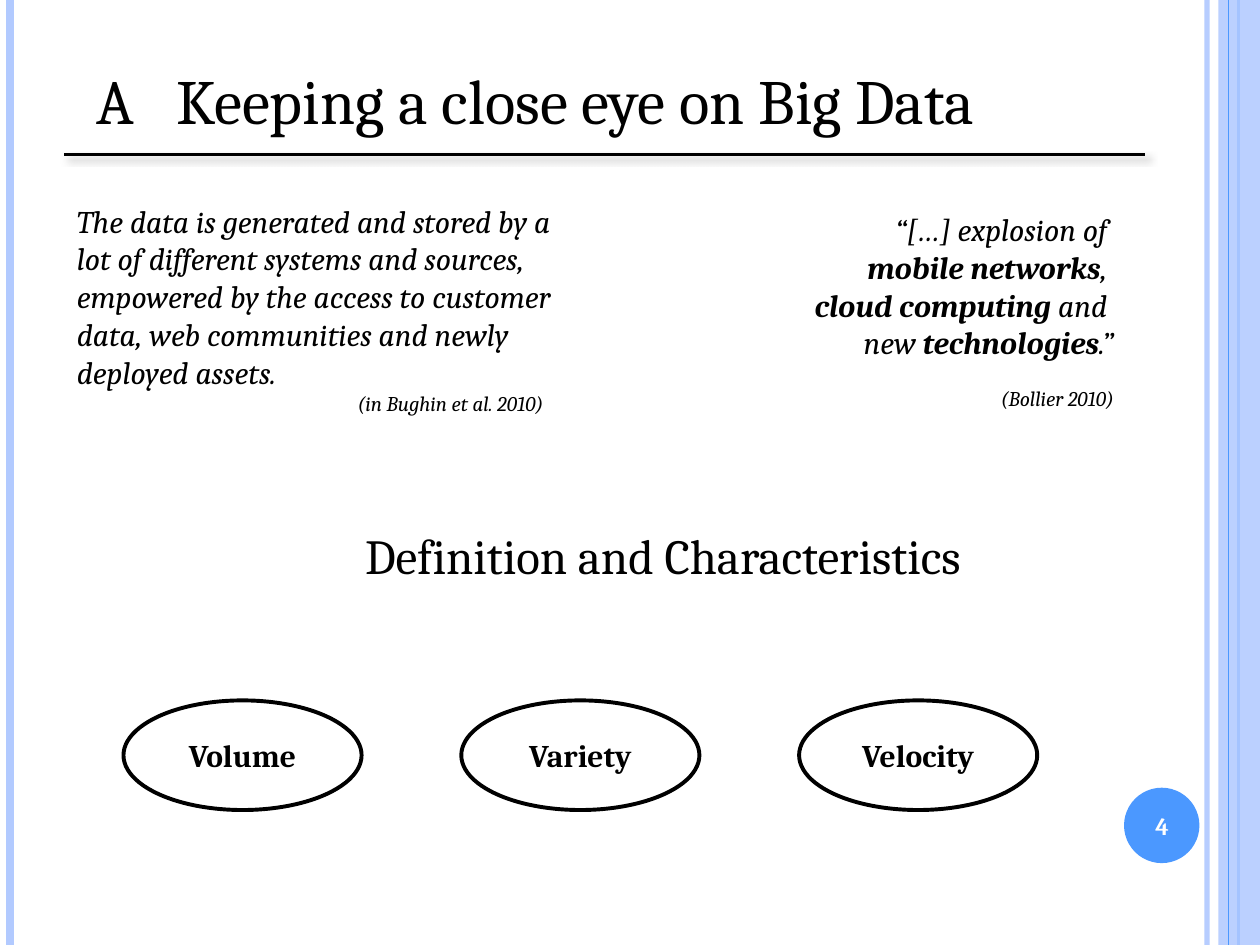
from lxml.etree import SubElement
from pptx import Presentation
from pptx.dml.color import RGBColor
from pptx.enum.shapes import MSO_CONNECTOR, MSO_SHAPE
from pptx.enum.text import MSO_ANCHOR, PP_ALIGN
from pptx.oxml.ns import qn
from pptx.util import Cm, Pt

COLORS = {"ink": "000000", "paper": "FFFFFF", "pale": "B2CAFF", "blue": "4B98FF"}
FONT = "Cambria"
WIDTH, HEIGHT = 25.4, 19.05


def color(name):
    return RGBColor.from_string(COLORS[name])


def set_alpha(fill_parent, percent):
    srgb = next(fill_parent.iter(qn("a:srgbClr")))
    SubElement(srgb, qn("a:alpha"), val=str(percent * 1000))


def add_line(slide, start, end, line_color, weight):
    """Draw a straight line without shadow; return it and its effect list."""
    line = slide.shapes.add_connector(
        MSO_CONNECTOR.STRAIGHT, *(Cm(value) for value in (*start, *end)))
    line.line.color.rgb = color(line_color)
    line.line.width = Pt(weight)
    return line, SubElement(line._element.spPr, qn("a:effectLst"))


def add_shape(slide, kind, box, fill, outline=None):
    shape = slide.shapes.add_shape(kind, *(Cm(value) for value in box))
    shape.shadow.inherit = False
    shape.fill.solid()
    shape.fill.fore_color.rgb = color(fill)
    if outline:
        shape.line.color.rgb = color(outline)
        shape.line.width = Pt(2.25)
    else:
        shape.line.fill.background()
    return shape


def add_text_box(slide, box):
    frame = slide.shapes.add_textbox(*(Cm(value) for value in box)).text_frame
    frame.word_wrap = True
    return frame


def write(paragraph, runs, size, font_color="ink", align=PP_ALIGN.LEFT, **styles):
    """Fill a paragraph with (text, bold) runs."""
    paragraph.alignment = align
    for text, bold in runs:
        run = paragraph.add_run()
        run.text = text
        formats = {"name": FONT, "size": Pt(size), "bold": bold, **styles}
        for attribute, value in formats.items():
            setattr(run.font, attribute, value)
        run.font.color.rgb = color(font_color)


def set_indent(paragraph, margin, first_line=0):
    properties = paragraph._p.get_or_add_pPr()
    properties.set("marL", str(Cm(margin)))
    properties.set("indent", str(Cm(first_line)))


def add_side_bands(slide):
    def vertical(x, line_color, weight):
        return add_line(slide, (x, 0), (x, HEIGHT), line_color, weight)[0]

    set_alpha(vertical(24.33, "pale", 3)._element.spPr, 93)
    vertical(0.2, "pale", 4.5)
    vertical(24.97, "blue", 1.5)
    band = add_shape(slide, MSO_SHAPE.RECTANGLE, (24.56, 0, WIDTH - 24.56, HEIGHT), "pale")
    set_alpha(band._element.spPr, 87)
    vertical(24.77, "blue", 0.75)


def add_title(slide, left, top, width, height):
    paragraph = add_text_box(slide, (left + 0.4, top, width, height)).paragraphs[0]
    write(paragraph, [("A\tKeeping a close eye on Big Data", False)], 36)
    set_indent(paragraph, 1.6, -1.6)
    rule_y = top + 2
    _, effects = add_line(slide, (left, rule_y), (left + 21.79, rule_y), "ink", 1.5)
    shadow = SubElement(effects, qn("a:outerShdw"), blurRad=str(Pt(4)),
                        dist=str(Pt(3)), dir=str(45 * 60000), algn="tl", rotWithShape="0")
    SubElement(shadow, qn("a:srgbClr"), val=COLORS["ink"])
    set_alpha(shadow, 40)


def add_quote(slide, box, lines, source, align, source_indent=0, source_gap=0):
    frame = add_text_box(slide, box)
    for index, runs in enumerate(lines):
        paragraph = frame.add_paragraph() if index else frame.paragraphs[0]
        write(paragraph, runs, 18, align=align, italic=True)
    citation = frame.add_paragraph()
    write(citation, [(source, False)], 12, align=align, italic=True)
    citation.space_before = Pt(source_gap)
    set_indent(citation, source_indent)


def add_subtitle(slide, box):
    write(add_text_box(slide, box).paragraphs[0],
          [("Definition and Characteristics", False)], 28)


def add_characteristics(slide, left, top, width, height, names):
    pitch = 6.81
    for index, name in enumerate(names):
        oval = add_shape(slide, MSO_SHAPE.OVAL,
                         (left + index * pitch, top, width, height), "paper", "ink")
        oval.text_frame.vertical_anchor = MSO_ANCHOR.MIDDLE
        write(oval.text_frame.paragraphs[0], [(name, True)], 18, align=PP_ALIGN.CENTER)


def add_page_number(slide, left, top, size, number):
    add_shape(slide, MSO_SHAPE.OVAL, (left, top, size, size), "blue")
    frame = add_text_box(slide, (left - 0.08, top + 0.05, 1.7, 1.45))
    frame.vertical_anchor = MSO_ANCHOR.MIDDLE
    write(frame.paragraphs[0], [(number, True)], 14, "paper", PP_ALIGN.CENTER)


def main():
    presentation = Presentation()
    presentation.slide_width, presentation.slide_height = Cm(WIDTH), Cm(HEIGHT)
    slide = presentation.slides.add_slide(presentation.slide_layouts[6])
    add_side_bands(slide)
    add_title(slide, 1.3, 1.12, 22.15, 1.8)
    add_subtitle(slide, (7.11, 10.46, 14.5, 1.45))
    add_quote(
        slide, (1.3, 3.94, 10.8, 4.62),
        [[("The data is generated and stored by a lot of different systems and sources, "
           "empowered by the access to customer data, web communities and newly "
           "deployed assets.", False)]],
        "(in Bughin et al. 2010)", PP_ALIGN.LEFT, source_indent=5.66)
    add_quote(
        slide, (13.11, 4.11, 9.6, 4.37),
        [[("“[…] explosion of ", False)],
         [("mobile networks", True), (", ", False)],
         [("cloud computing ", True), ("and ", False)],
         [("new ", False), ("technologies", True), (".”", False)]],
        "(Bollier 2010)", PP_ALIGN.RIGHT, source_gap=14)
    add_characteristics(slide, 2.49, 14.12, 4.8, 2.21, ["Volume", "Variety", "Velocity"])
    add_page_number(slide, 22.66, 15.88, 1.52, "4")
    presentation.save("out.pptx")


if __name__ == "__main__":
    main()
